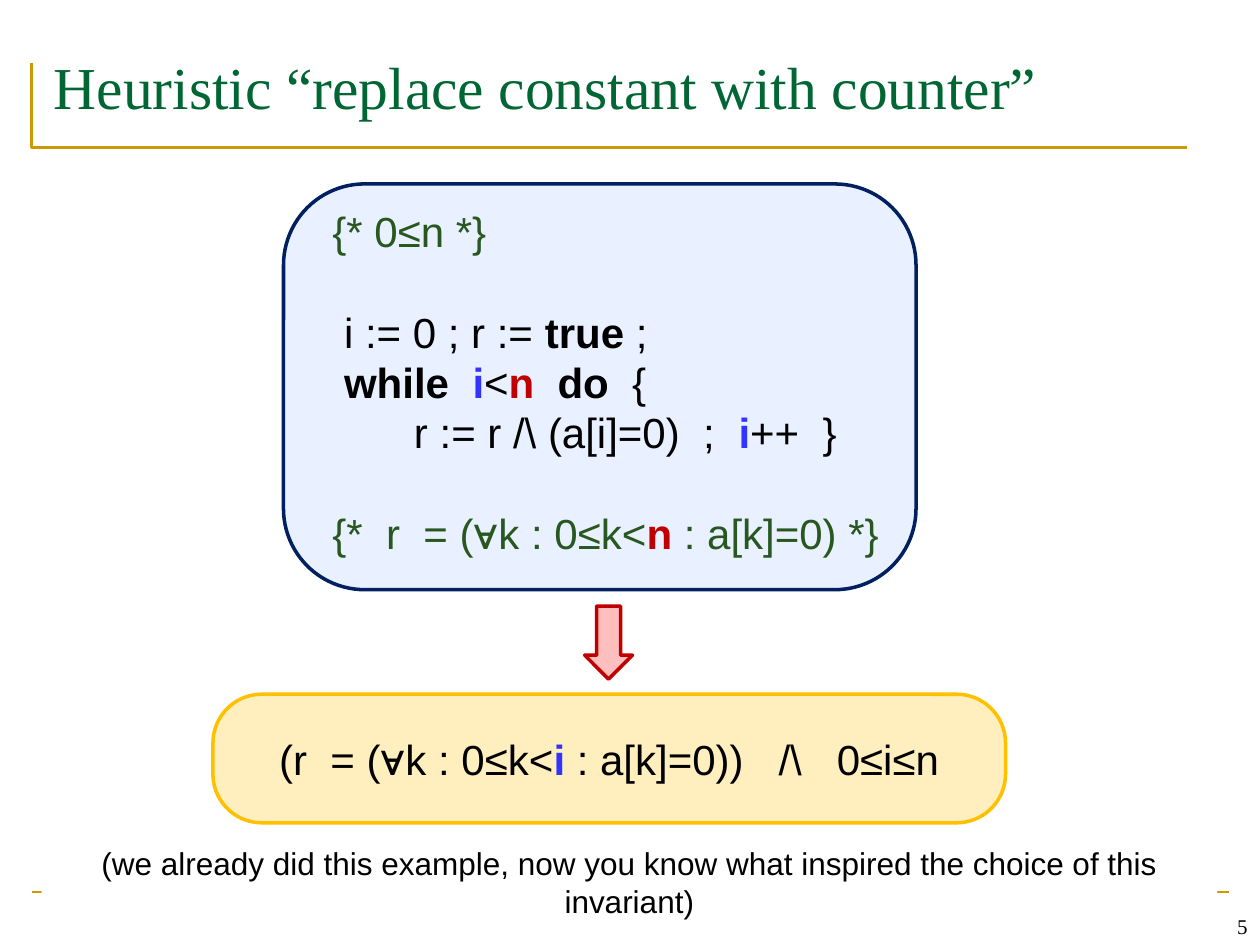
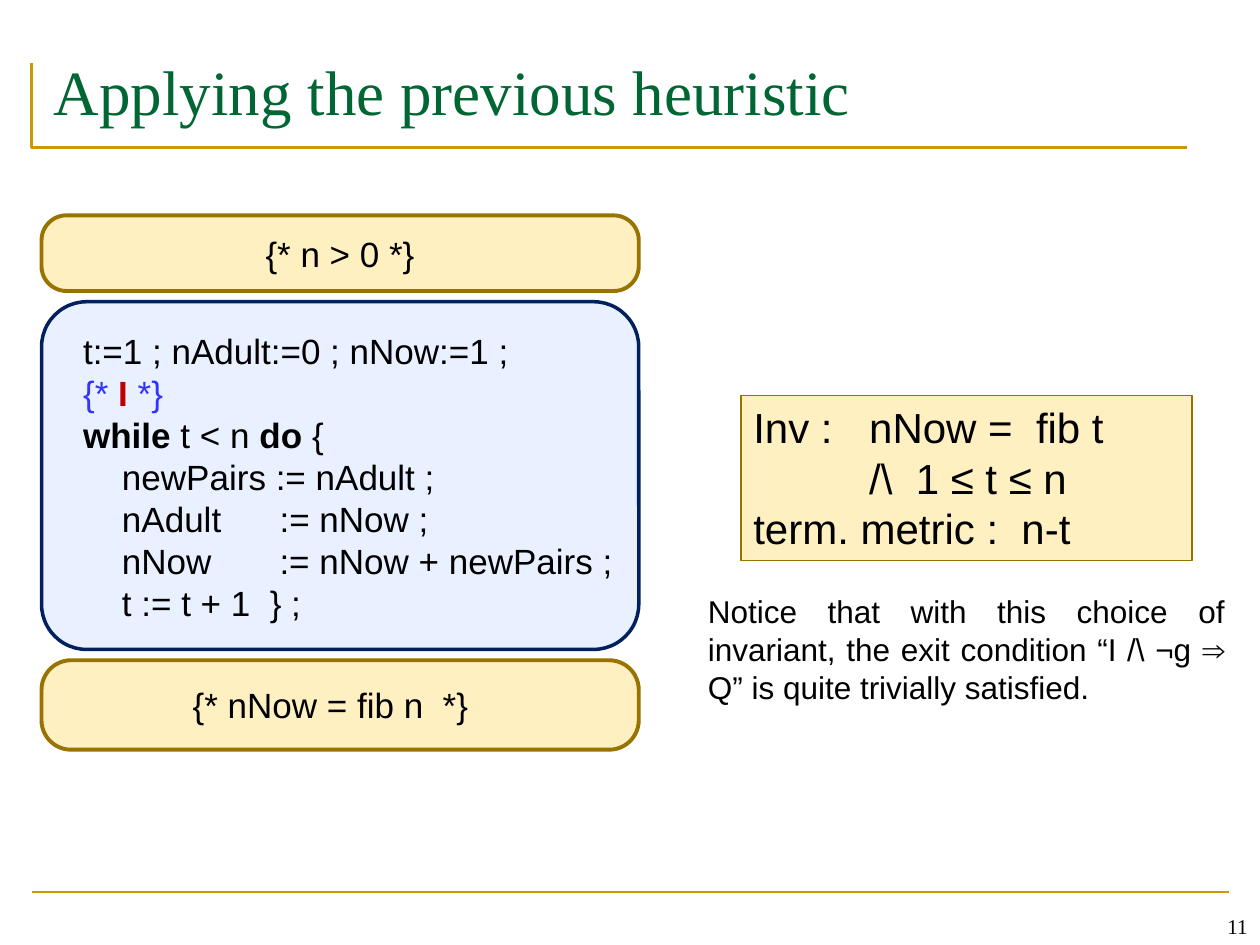
from dataclasses import dataclass

from lxml.etree import SubElement
from pptx import Presentation
from pptx.dml.color import RGBColor
from pptx.enum.shapes import MSO_CONNECTOR, MSO_SHAPE
from pptx.enum.text import MSO_ANCHOR, PP_ALIGN
from pptx.oxml.ns import qn
from pptx.util import Inches, Pt


@dataclass(frozen=True)
class Theme:
    body_font: str = "Arial"
    title_font: str = "Times New Roman"
    ink: str = "000000"
    paper: str = "FFFFFF"
    title: str = "006633"
    rule: str = "CC9900"
    assertion: str = "285720"
    counter: str = "3333FF"
    constant: str = "C00000"
    code_fill: str = "6699FF"
    code_line: str = "002060"
    gold: str = "FFC000"
    cream: str = "FFF0C2"
    bronze: str = "997300"
    arrow_fill: str = "FF0000"
    large: int = 24
    medium: int = 20
    note: int = 18
    number: int = 12


THEME = Theme()

# The grid: 100 columns by 75 rows
SLIDE_WIDTH, SLIDE_HEIGHT = Inches(10), Inches(7.5)
COLUMN, ROW = SLIDE_WIDTH / 100, SLIDE_HEIGHT / 75
INSET = 1


def columns(count):
    return round(count * COLUMN)


def rows(count):
    return round(count * ROW)


def area(left, top, width, height):
    return columns(left), rows(top), columns(width), rows(height)


def rgb(code):
    return RGBColor.from_string(code)


# Runs with emphasis: (text, colour, bold)
def strong(text, colour=THEME.ink):
    return text, colour, True


def plain(text, colour=THEME.ink):
    return text, colour, False


def write(shape, lines, size, colour=THEME.ink, font=THEME.body_font,
          align=PP_ALIGN.LEFT, anchor=MSO_ANCHOR.TOP, wrap=True,
          left_inset=INSET, right_inset=INSET, top_inset=INSET / 2):
    """Fill a shape with lines; each line is a list of strings and runs."""
    frame = shape.text_frame
    frame.word_wrap = wrap
    frame.vertical_anchor = anchor
    frame.margin_left, frame.margin_right = columns(left_inset), columns(right_inset)
    frame.margin_top = rows(top_inset)
    for index, line in enumerate(lines):
        paragraph = frame.add_paragraph() if index else frame.paragraphs[0]
        paragraph.alignment = align
        paragraph.font.name = font
        paragraph.font.size = Pt(size)
        paragraph.font.color.rgb = rgb(colour)
        for part in line:
            text, run_colour, bold = plain(part, colour) if isinstance(part, str) else part
            run = paragraph.add_run()
            run.text = text
            if run_colour != colour:
                run.font.color.rgb = rgb(run_colour)
            if bold:
                run.font.bold = True
    return frame.paragraphs


def add_text(slide, place, lines, size, **options):
    return write(slide.shapes.add_textbox(*area(*place)), lines, size, **options)


def add_panel(slide, kind, place, fill, line=None, weight=2, opacity=100, rounding=None):
    shape = slide.shapes.add_shape(kind, *area(*place))
    shape.shadow.inherit = False
    if rounding is not None:
        shape.adjustments[0] = rounding
    shape.fill.solid()
    shape.fill.fore_color.rgb = rgb(fill)
    if opacity < 100:
        colour = shape.fill._xPr.find(qn("a:solidFill"))[0]
        SubElement(colour, qn("a:alpha"), val=str(opacity * 1000))
    if line:
        shape.line.color.rgb = rgb(line)
        shape.line.width = Pt(weight)
    else:
        shape.line.fill.background()
    return shape


def add_code_panel(slide, place, rounding):
    return add_panel(slide, MSO_SHAPE.ROUNDED_RECTANGLE, place, THEME.code_fill,
                     THEME.code_line, opacity=14, rounding=rounding)


def add_condition(slide, place, text, right_inset=INSET):
    shape = add_panel(slide, MSO_SHAPE.ROUNDED_RECTANGLE, place, THEME.cream,
                      THEME.bronze, weight=2.25, rounding=0.33)
    write(shape, [[text]], THEME.medium, align=PP_ALIGN.CENTER,
          anchor=MSO_ANCHOR.MIDDLE, wrap=False, right_inset=right_inset)


def set_hanging_tab(paragraph, position):
    """Add a tab stop, placed ahead of the paragraph's font defaults."""
    properties = paragraph._p.get_or_add_pPr()
    tab_list = properties.makeelement(qn("a:tabLst"), {})
    SubElement(tab_list, qn("a:tab"), pos=str(columns(position)), algn="l")
    properties.find(qn("a:defRPr")).addprevious(tab_list)


def start_slide(presentation, title, title_size, title_top, number):
    """A blank slide with the corner rule, bottom rule, title and number."""
    slide = presentation.slides.add_slide(presentation.slide_layouts[6])
    builder = slide.shapes.build_freeform(columns(2.5), rows(5))
    builder.add_line_segments([(columns(2.5), rows(11.7)),
                               (columns(94.2), rows(11.7))], close=False)
    corner = builder.convert_to_shape()
    corner.shadow.inherit = False
    corner.fill.background()

    bottom = slide.shapes.add_connector(MSO_CONNECTOR.STRAIGHT, columns(2.5), rows(70.8),
                                        columns(97.5), rows(70.8))
    SubElement(bottom._element.spPr, qn("a:effectLst"))
    for rule in (corner, bottom):
        rule.line.color.rgb = rgb(THEME.rule)
        rule.line.width = Pt(1.5)

    add_text(slide, (3.3, title_top, 93.3, 9), [[title]], title_size, colour=THEME.title,
             font=THEME.title_font, top_inset=INSET)
    add_text(slide, (76.7, 70, 23.3, 5), [[number]], THEME.number, font=THEME.title_font,
             align=PP_ALIGN.RIGHT, anchor=MSO_ANCHOR.BOTTOM)
    return slide


def build_counter_slide(presentation):
    slide = start_slide(presentation, "Heuristic “replace constant with counter”", 34, 3, "5")

    # Program between its pre- and postcondition
    add_code_panel(slide, (22.5, 14.6, 50.2, 32.2), rounding=0.2)
    program = add_text(slide, (25.4, 15.8, 45.8, 29.3), [
        [plain("{* 0≤n *}", THEME.assertion)],
        [" i := 0 ; r := ", strong("true"), " ;"],
        [strong(" while  "), strong("i", THEME.counter), "<",
         strong("n", THEME.constant), strong("  do"), "  {"],
        ["       r := r /\\ (a[i]=0)  ;  ", strong("i", THEME.counter), "++  }"],
        [plain("{*  r  = (∀k : 0≤k<", THEME.assertion), strong("n", THEME.constant),
         plain(" : a[k]=0) *}", THEME.assertion)],
    ], THEME.large, wrap=False)
    for paragraph in (program[1], program[-1]):
        paragraph.space_before = Pt(28.8)

    # Invariant derived from the postcondition
    invariant = add_panel(slide, MSO_SHAPE.ROUNDED_RECTANGLE, (16.9, 55.1, 62.9, 10.2),
                          THEME.gold, THEME.gold, opacity=25, rounding=0.38)
    write(invariant, [["(r  = (∀k : 0≤k<", strong("i", THEME.counter),
                       " : a[k]=0))   /\\   0≤i≤n"]],
          THEME.large, align=PP_ALIGN.CENTER, anchor=MSO_ANCHOR.MIDDLE)
    add_panel(slide, MSO_SHAPE.DOWN_ARROW, (46.4, 48.1, 3.8, 5.8), THEME.arrow_fill,
              THEME.constant, opacity=25)

    # Closing remark
    remark = add_panel(slide, MSO_SHAPE.RECTANGLE, (3.3, 66.5, 93.3, 7.1), THEME.paper)
    write(remark, [["(we already did this example, now you know what inspired "
                    "the choice of this invariant)"]], THEME.note, align=PP_ALIGN.CENTER)


def build_fibonacci_slide(presentation):
    slide = start_slide(presentation, "Applying the previous heuristic", 36, 3.2, "11")

    # Stack of precondition, program and postcondition
    left, width, gap = 3.3, 47.4, 0.85
    before_top, before_height, code_height, after_height = 17.1, 6, 27.6, 7.1
    code_top = before_top + before_height + gap
    after_top = code_top + code_height + gap
    add_condition(slide, (left, before_top, width, before_height), "{* n > 0 *}")
    add_code_panel(slide, (left, code_top, width, code_height), rounding=0.13)
    add_condition(slide, (left, after_top, width, after_height),
                  "{* nNow = fib n  *}", right_inset=2.5)
    add_text(slide, (left, code_top + 1.7, width + 3, 24.6), [
        ["t:=1 ; nAdult:=0 ; nNow:=1 ;"],
        [plain("{* ", THEME.counter), strong("I", THEME.constant),
         plain(" *}", THEME.counter)],
        [strong("while"), " t < n ", strong("do "), "{"],
        ["    newPairs := nAdult ;"],
        ["    nAdult      := nNow ;"],
        ["    nNow       := nNow + newPairs ;"],
        ["    t := t + 1  } ;"],
    ], THEME.medium, left_inset=3.3)

    # Invariant and termination metric
    answer = add_panel(slide, MSO_SHAPE.RECTANGLE, (58.8, 31.4, 35.8, 13.1),
                       THEME.cream, THEME.bronze, weight=0.75)
    lines = write(answer, [["Inv :\tnNow =  fib t"], ["\t/\\  1 ≤ t ≤ n"],
                           ["term. metric :  n-t"]], THEME.large)
    for paragraph in lines[:2]:
        set_hanging_tab(paragraph, 9.2)

    add_text(slide, (55.2, 46.5, 43, 10.1), [[
        "Notice that with this choice of invariant, the exit condition "
        "“I /\\ ¬g ⇒ Q” is quite trivially satisfied."]],
        THEME.note, align=PP_ALIGN.JUSTIFY)


def main():
    presentation = Presentation()
    presentation.slide_width, presentation.slide_height = SLIDE_WIDTH, SLIDE_HEIGHT
    build_counter_slide(presentation)
    build_fibonacci_slide(presentation)
    presentation.save("out.pptx")


if __name__ == "__main__":
    main()
